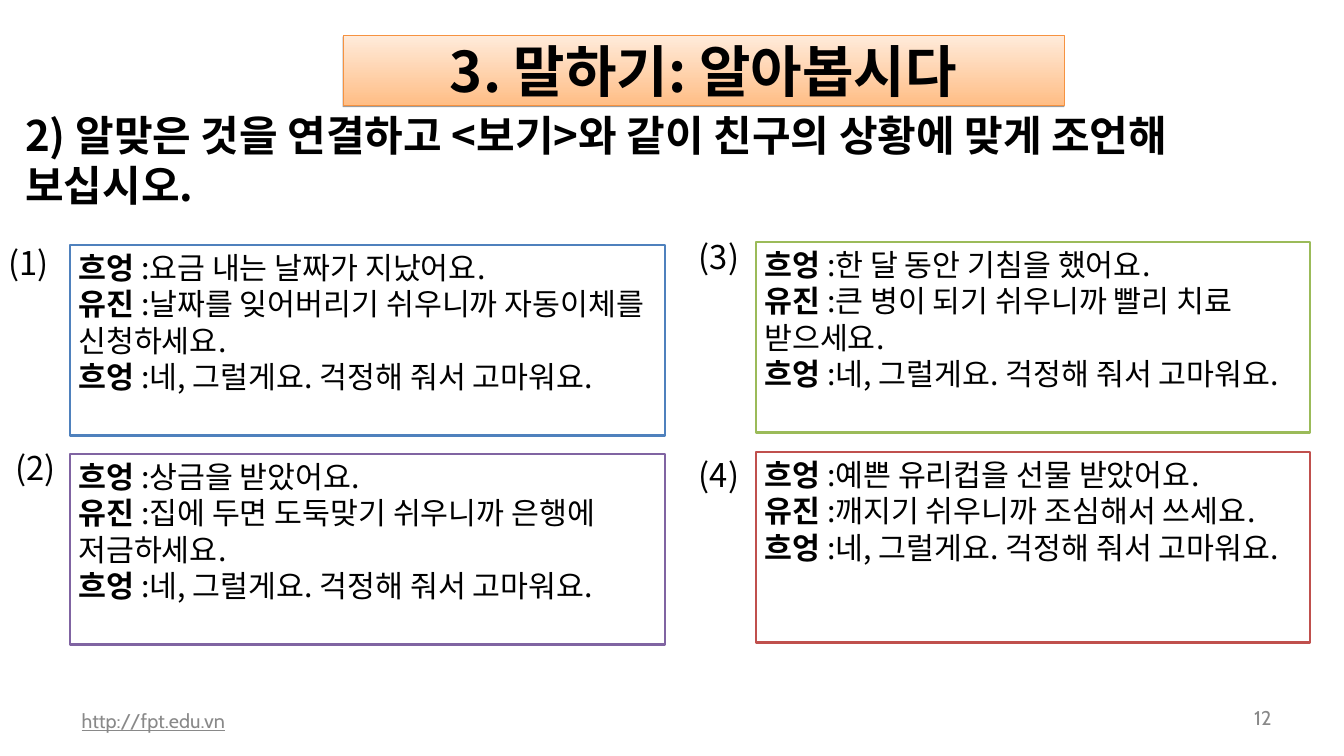
from lxml import etree
from pptx import Presentation
from pptx import util as u
from pptx.dml.color import RGBColor
from pptx.enum import shapes, text
from pptx.oxml import parse_xml
from pptx.oxml.ns import nsdecls, qn

KOREAN = "Noto Sans CJK KR"
SPEAKERS = ("흐엉 ", "유진 ", "흐엉 ")
THANKS = ":네, 그럴게요. 걱정해 줘서 고마워요."


def color(value):
    return RGBColor.from_string(value)


def set_values(obj, values):
    for name, value in values.items():
        setattr(obj, name, value)


class SlideBuilder:
    inset = dict(margin_left=u.Pt(7.2), margin_right=u.Pt(7.2),
                 margin_top=u.Pt(3.6), margin_bottom=u.Pt(3.6))
    footer_inset = dict(margin_left=u.Pt(10), margin_right=u.Pt(10),
                        margin_top=u.Pt(5), margin_bottom=u.Pt(5))
    top = text.MSO_ANCHOR.TOP
    middle = text.MSO_ANCHOR.MIDDLE

    def __init__(self, prs):
        self.s = prs.slides.add_slide(prs.slide_layouts[1])

    def place(self, sp, box):
        set_values(sp, dict(zip(("left", "top", "width", "height"), map(u.Pt, box))))

    def fill_text(self, sp, paragraphs, size, hue="000000", font=KOREAN,
                  align=text.PP_ALIGN.LEFT, anchor=top, inset=inset,
                  underline=False):
        tf = sp.text_frame
        set_values(tf, dict(inset, word_wrap=True, vertical_anchor=anchor,
                            auto_size=text.MSO_AUTO_SIZE.NONE))
        for i, runs in enumerate(paragraphs):
            p = tf.add_paragraph() if i else tf.paragraphs[0]
            set_values(p, dict(alignment=align, line_spacing=u.Pt(1.2 * size),
                               space_before=u.Pt(0), space_after=u.Pt(0)))
            for words, bold in runs:
                r = p.add_run()
                r.text = words
                set_values(r.font, dict(size=u.Pt(size), bold=bold, name=font,
                                        underline=underline))
                r.font.color.rgb = color(hue)
                etree.SubElement(r._r.get_or_add_rPr(), qn("a:ea"), typeface=font)

    def title(self, words, box):
        sp = self.s.shapes.title
        self.place(sp, box)
        sp.fill.gradient()
        sp.fill.gradient_angle = 90
        for stop, hue in zip(sp.fill.gradient_stops, ("FFBE86", "FFEBDB")):
            stop.color.rgb = color(hue)
        sp.line.color.rgb = color("F69240")
        sp.line.width = u.Pt(0.75)
        sp.shadow.inherit = False
        sp._element.spPr.find(qn("a:effectLst")).append(parse_xml(
            f'<a:outerShdw {nsdecls("a")} dist="{u.Pt(1.6)}" dir="5400000" '
            'rotWithShape="0"><a:srgbClr val="000000"><a:alpha val="38000"/>'
            '</a:srgbClr></a:outerShdw>'))
        self.fill_text(sp, [[(words, True)]], 48, align=text.PP_ALIGN.CENTER,
                       anchor=self.middle)

    def instruction(self, words, box):
        sp = self.s.placeholders[1]
        self.place(sp, box)
        pPr = sp.text_frame.paragraphs[0]._p.get_or_add_pPr()
        for name in ("marL", "indent"):
            pPr.set(name, "0")
        etree.SubElement(pPr, qn("a:buNone"))
        self.fill_text(sp, [[(words, True)]], 36)

    def label(self, words, box, size=28, **style):
        sp = self.s.shapes.add_textbox(*map(u.Pt, box))
        self.fill_text(sp, [[(words, False)]], size, **style)

    def dialogue(self, lines, box, border):
        sp = self.s.shapes.add_shape(shapes.MSO_SHAPE.RECTANGLE, *map(u.Pt, box))
        sp.shadow.inherit = False
        sp.fill.solid()
        sp.fill.fore_color.rgb = color("FFFFFF")
        sp.line.color.rgb = color(border)
        sp.line.width = u.Pt(2)
        self.fill_text(sp, [[(who, True), (line, False)]
                            for who, line in zip(SPEAKERS, lines)], 26)


def main():
    prs = Presentation()
    set_values(prs, dict(slide_width=u.Pt(1152), slide_height=u.Pt(648)))
    b = SlideBuilder(prs)

    b.title("3. 말하기: 알아봅시다", (294, 30, 618, 60))
    b.instruction("2) 알맞은 것을 연결하고 <보기>와 같이 친구의 상황에 맞게 조언해 보십시오.",
                  (14.4, 90, 1108.8, 93.6))

    dialogues = [
        (":요금 내는 날짜가 지났어요.", ":날짜를 잊어버리기 쉬우니까 자동이체를 신청하세요.",
         (60, 210, 510), "4F81BD", (0, 204.5)),
        (":상금을 받았어요.", ":집에 두면 도둑맞기 쉬우니까 은행에 저금하세요.",
         (60, 389, 510), "8064A2", (6, 380)),
        (":한 달 동안 기침을 했어요.", ":큰 병이 되기 쉬우니까 빨리 치료 받으세요.",
         (648, 207.5, 475), "9BBB59", (592, 199.5)),
        (":예쁜 유리컵을 선물 받았어요.", ":깨지기 쉬우니까 조심해서 쓰세요.",
         (648, 387.5, 475), "C0504D", (592, 386)),
    ]
    for number, (problem, advice, box, border, corner) in enumerate(dialogues, 1):
        b.dialogue((problem, advice, THANKS), (*box, 163.4), border)
        b.label(f"({number})", (*corner, 65, 41))

    footer = dict(size=17, hue="898989", font="Cabin", anchor=b.middle,
                  inset=b.footer_inset)
    b.label("http://fpt.edu.vn", (60, 600, 365, 34.5), underline=True, **footer)
    b.label("12", (1044, 600, 56, 29.5), align=text.PP_ALIGN.RIGHT, **footer)

    prs.save("out.pptx")


if __name__ == "__main__":
    main()
